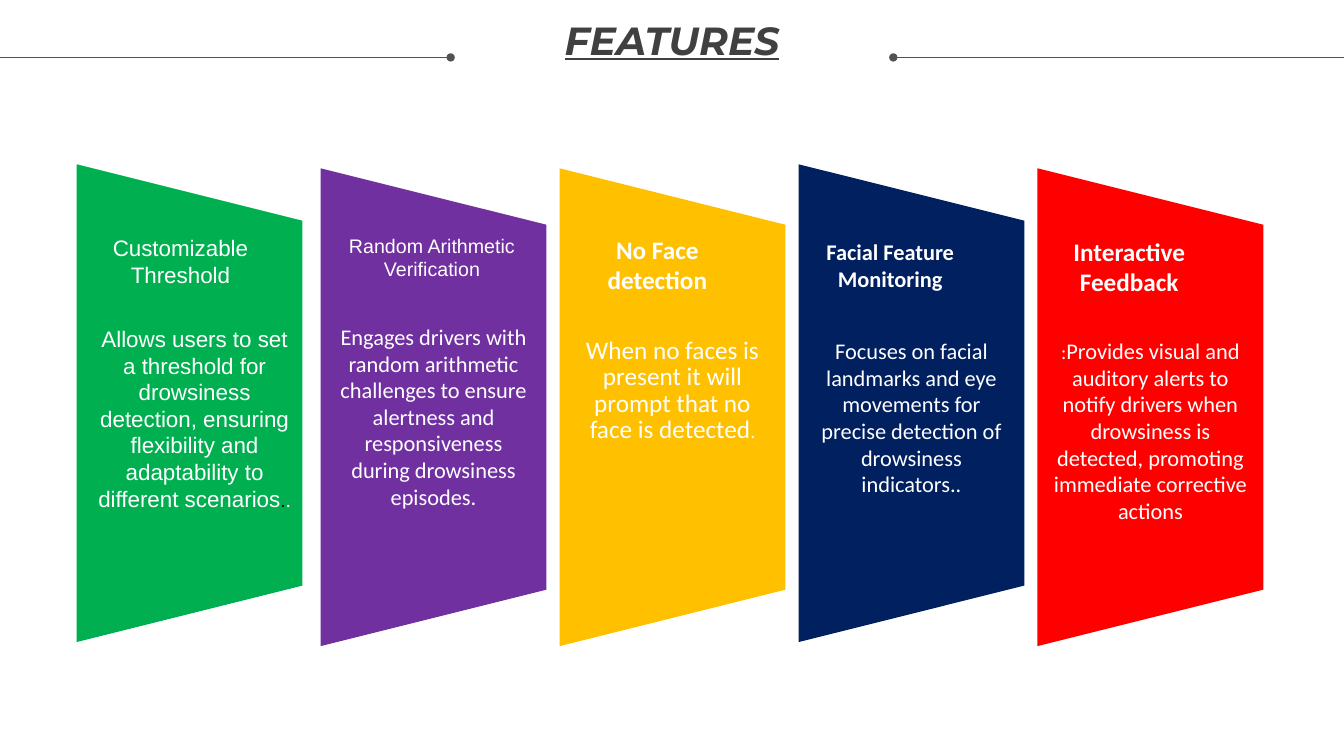
from lxml import etree
from pptx import Presentation
from pptx.dml.color import RGBColor
from pptx.enum.shapes import MSO_CONNECTOR, MSO_SHAPE
from pptx.enum.text import PP_ALIGN
from pptx.oxml.ns import qn
from pptx.util import Inches, Pt

STRAIGHT = MSO_CONNECTOR.STRAIGHT
TRAPEZOID = MSO_SHAPE.TRAPEZOID
CENTER = PP_ALIGN.CENTER

# Content: a run is (text, size, font, colour)
THEME = {
    "white": "FFFFFF", "dark": "0D0D0D", "title": "404040", "rule": "525252",
    "sans": "Arial", "body": "Calibri", "display": "Montserrat",
    "title_size": 28, "large": 18, "medium": 16, "small": 14,
}
T = THEME
TITLE = "FEATURES"
FEATURES = [
    {"fill": "00B050", "center": (1.88, 4.0),
     "heading": ("Customizable Threshold", T["medium"], T["sans"], False),
     "heading_box": (1.04, 2.32, 1.5, 0.54),
     "body_top": 3.23,
     "body": [("Allows users to set a threshold for drowsiness detection, "
               "ensuring flexibility and adaptability to different scenarios",
               T["medium"], T["sans"], T["white"]),
              (".", T["small"], T["sans"], T["dark"]),
              (".", T["small"], T["body"], T["white"])]},
    {"fill": "7030A0", "center": (4.3, 4.04),
     "heading": ("Random Arithmetic Verification", T["small"], T["sans"], False),
     "heading_box": (3.45, 2.32, 1.67, 0.47),
     "body_top": 3.21,
     "body": [("Engages drivers with random arithmetic challenges to ensure "
               "alertness and responsiveness during drowsiness episodes.",
               T["medium"], T["body"], T["white"])]},
    {"fill": "FFC000", "center": (6.67, 4.04),
     "heading": ("No Face detection", T["large"], T["body"], True),
     "heading_box": (5.77, 2.32, 1.5, 0.61),
     "body_top": 3.35,
     "body": [("When no faces is present it will prompt that no face is detected",
               T["large"], T["body"], T["white"]),
              (".", T["small"], T["body"], T["white"])]},
    {"fill": "002060", "center": (9.04, 4.0),
     "heading": ("Facial Feature Monitoring", T["medium"], T["body"], True),
     "heading_box": (8.08, 2.36, 1.5, 0.54),
     "body_top": 3.35,
     "body": [("Focuses on facial landmarks and eye movements for precise "
               "detection of drowsiness indicators..",
               T["medium"], T["body"], T["white"])]},
    {"fill": "FF0000", "center": (11.41, 4.04),
     "heading": ("Interactive Feedback", T["large"], T["body"], True),
     "heading_box": (10.45, 2.34, 1.5, 0.61),
     "body_top": 3.35,
     "body": [(":", T["small"], T["body"], T["white"]),
              ("Provides visual and auditory alerts to notify drivers when "
               "drowsiness is detected, promoting immediate corrective actions",
               T["medium"], T["body"], T["white"])]},
]

# Layout in inches
SLIDE_W, SLIDE_H = 13.33, 7.5
PANEL_LENGTH, PANEL_WIDTH = 4.74, 2.24
BODY_LEFT, BODY_STEP, BODY_W, BODY_H = 0.97, 2.37, 1.92, 1.87
RULE_Y = 0.57
RULES = [(4.47, 0), (8.86, SLIDE_W)]  # dotted end, slide edge


def add_rule(slide, dot_x, edge_x):
    cx = slide.shapes.add_connector(STRAIGHT, Inches(dot_x), Inches(RULE_Y),
                                    Inches(edge_x), Inches(RULE_Y))
    cx.line.color.rgb = RGBColor.from_string(T["rule"])
    cx.line.width = Pt(0.5)
    etree.SubElement(cx.line._get_or_add_ln(), qn("a:headEnd"), type="oval")
    etree.SubElement(cx._element.spPr, qn("a:effectLst"))


def add_text(slide, box, runs, spacing=None, bold=False, italic=False,
             underline=False):
    tf = slide.shapes.add_textbox(*map(Inches, box)).text_frame
    tf.word_wrap = True
    tf.margin_left = tf.margin_right = tf.margin_top = tf.margin_bottom = 0
    p = tf.paragraphs[0]
    p.alignment = CENTER
    p.line_spacing = spacing
    for text, size, font, color in runs:
        r = p.add_run()
        r.text = text
        r.font.size = Pt(size)
        r.font.name = font
        r.font.color.rgb = RGBColor.from_string(color)
        r.font.bold, r.font.italic, r.font.underline = bold, italic, underline


def add_panel(slide, center, fill):
    x, y = center
    sp = slide.shapes.add_shape(
        TRAPEZOID, Inches(x - PANEL_LENGTH / 2), Inches(y - PANEL_WIDTH / 2),
        Inches(PANEL_LENGTH), Inches(PANEL_WIDTH))
    sp.rotation = 90
    sp.shadow.inherit = False
    sp.fill.solid()
    sp.fill.fore_color.rgb = RGBColor.from_string(fill)
    sp.line.fill.background()


def main():
    prs = Presentation()
    prs.slide_width, prs.slide_height = Inches(SLIDE_W), Inches(SLIDE_H)
    s = prs.slides.add_slide(prs.slide_layouts[6])

    # Title between two rules
    for dot_x, edge_x in RULES:
        add_rule(s, dot_x, edge_x)
    add_text(s, (0.25, 0.21, 12.83, 0.85),
             [(TITLE, T["title_size"], T["display"], T["title"])],
             spacing=0.9, bold=True, italic=True, underline=True)

    # Feature panels
    for i, feature in enumerate(FEATURES):
        add_panel(s, feature["center"], feature["fill"])
        text, size, font, bold = feature["heading"]
        add_text(s, feature["heading_box"], [(text, size, font, T["white"])],
                 bold=bold)
        body_box = (BODY_LEFT + i * BODY_STEP, feature["body_top"], BODY_W, BODY_H)
        add_text(s, body_box, feature["body"], spacing=Pt(19))

    prs.save("out.pptx")


if __name__ == "__main__":
    main()
